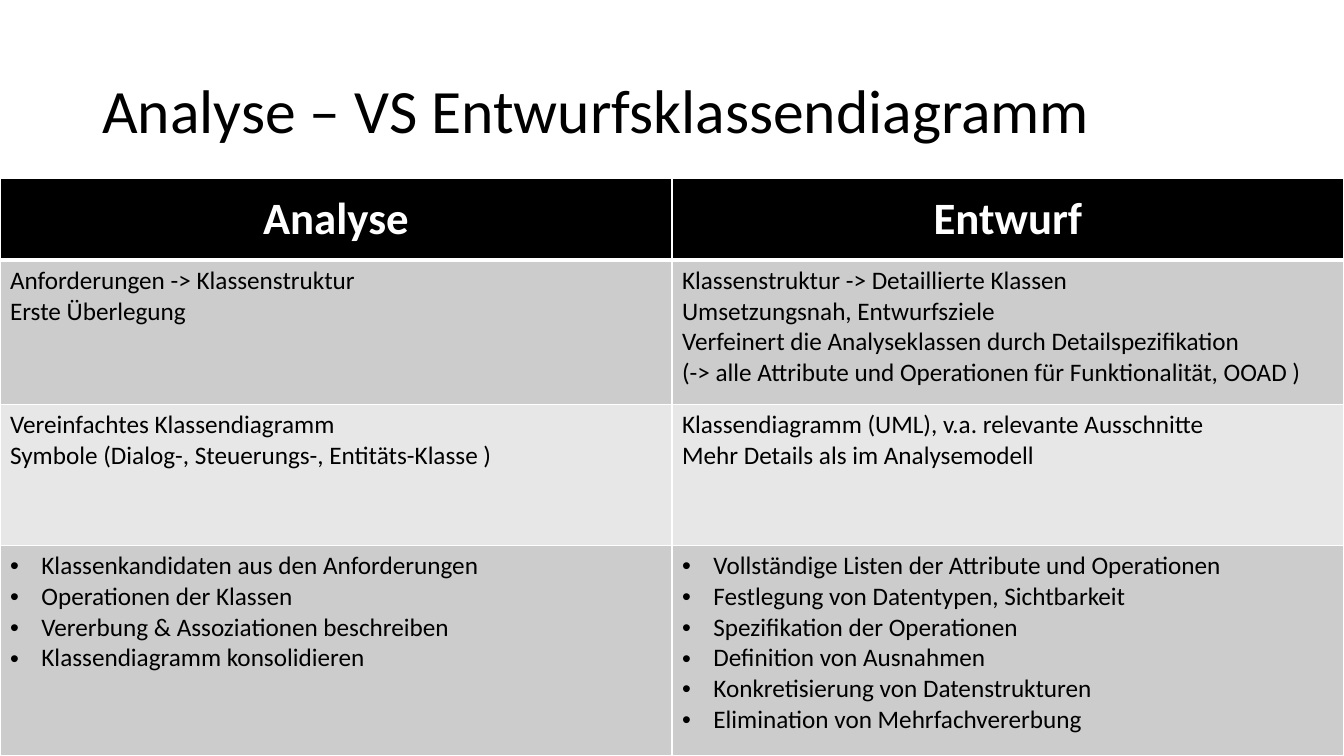
from lxml.etree import SubElement as Sub
from pptx import Presentation
from pptx.dml.color import RGBColor
from pptx.enum.text import MSO_ANCHOR as Anchor, PP_ALIGN as Align
from pptx.oxml.ns import qn
from pptx.util import Cm, Pt


def hue(code):
    return RGBColor.from_string(code)


def write(para, text, size, color="000000", bold=False):
    run = para.add_run()
    run.text = text
    font = run.font
    font.name, font.size, font.bold = "Calibri", Pt(size), bold
    font.color.rgb = hue(color)


deck = Presentation()
deck.slide_width, deck.slide_height = Cm(33.87), Cm(19.05)
slide = deck.slides.add_slide(deck.slide_layouts[6])

# Title
title = slide.shapes.add_textbox(Cm(2.33), Cm(1.01), Cm(29.21), Cm(3.68))
frame = title.text_frame
frame.word_wrap = True
frame.vertical_anchor = Anchor.MIDDLE
frame.paragraphs[0].line_spacing = 0.9
write(frame.paragraphs[0], "Analyse – VS Entwurfsklassendiagramm", 44)

# Table content: one pair of line lists per row
rows = [
    (["Analyse"], ["Entwurf"]),
    (["Anforderungen -> Klassenstruktur", "Erste Überlegung"],
     ["Klassenstruktur -> Detaillierte Klassen",
      "Umsetzungsnah, Entwurfsziele",
      "Verfeinert die Analyseklassen durch Detailspezifikation",
      "(-> alle Attribute und Operationen für Funktionalität, OOAD )"]),
    (["Vereinfachtes Klassendiagramm",
      "Symbole (Dialog-, Steuerungs-, Entitäts-Klasse )"],
     ["Klassendiagramm (UML), v.a. relevante Ausschnitte",
      "Mehr Details als im Analysemodell"]),
    (["Klassenkandidaten aus den Anforderungen",
      "Operationen der Klassen",
      "Vererbung & Assoziationen beschreiben",
      "Klassendiagramm konsolidieren"],
     ["Vollständige Listen der Attribute und Operationen",
      "Festlegung von Datentypen, Sichtbarkeit",
      "Spezifikation der Operationen",
      "Definition von Ausnahmen",
      "Konkretisierung von Datenstrukturen",
      "Elimination von Mehrfachvererbung"]),
]
fills = ["000000", "CCCCCC", "E7E7E7", "CCCCCC"]
highs = [2.06, 3.63, 3.56, 5.3]

# Table
table = slide.shapes.add_table(
    4, 2, Cm(0), Cm(4.5), deck.slide_width, Cm(sum(highs))).table
for r, pair in enumerate(rows):
    table.rows[r].height = Cm(highs[r])
    head, listed = r == 0, r == 3
    for c, lines in enumerate(pair):
        cell = table.cell(r, c)

        # White borders, heavier between header and body
        props = cell._tc.get_or_add_tcPr()
        for side in "LRTB":
            heavy = (r, side) in [(0, "B"), (1, "T")]
            line = Sub(props, qn("a:ln" + side), w=str(Pt(3 if heavy else 1)))
            paint = Sub(line, qn("a:solidFill"))
            Sub(paint, qn("a:srgbClr"), val="FFFFFF")
        cell.fill.solid()
        cell.fill.fore_color.rgb = hue(fills[r])
        cell.vertical_anchor = Anchor.MIDDLE if head else Anchor.TOP

        # Text, bulleted in the last row
        for i, text in enumerate(lines):
            frame = cell.text_frame
            para = frame.add_paragraph() if i else frame.paragraphs[0]
            if head:
                para.alignment = Align.CENTER
                write(para, text, 32, "FFFFFF", True)
            else:
                write(para, text, 18)
            if listed:
                form = para._p.get_or_add_pPr()
                form.set("marL", str(Cm(0.79)))
                form.set("indent", str(-Cm(0.79)))
                Sub(form, qn("a:buFont"), typeface="Arial")
                Sub(form, qn("a:buChar"), char="•")

deck.save("out.pptx")
